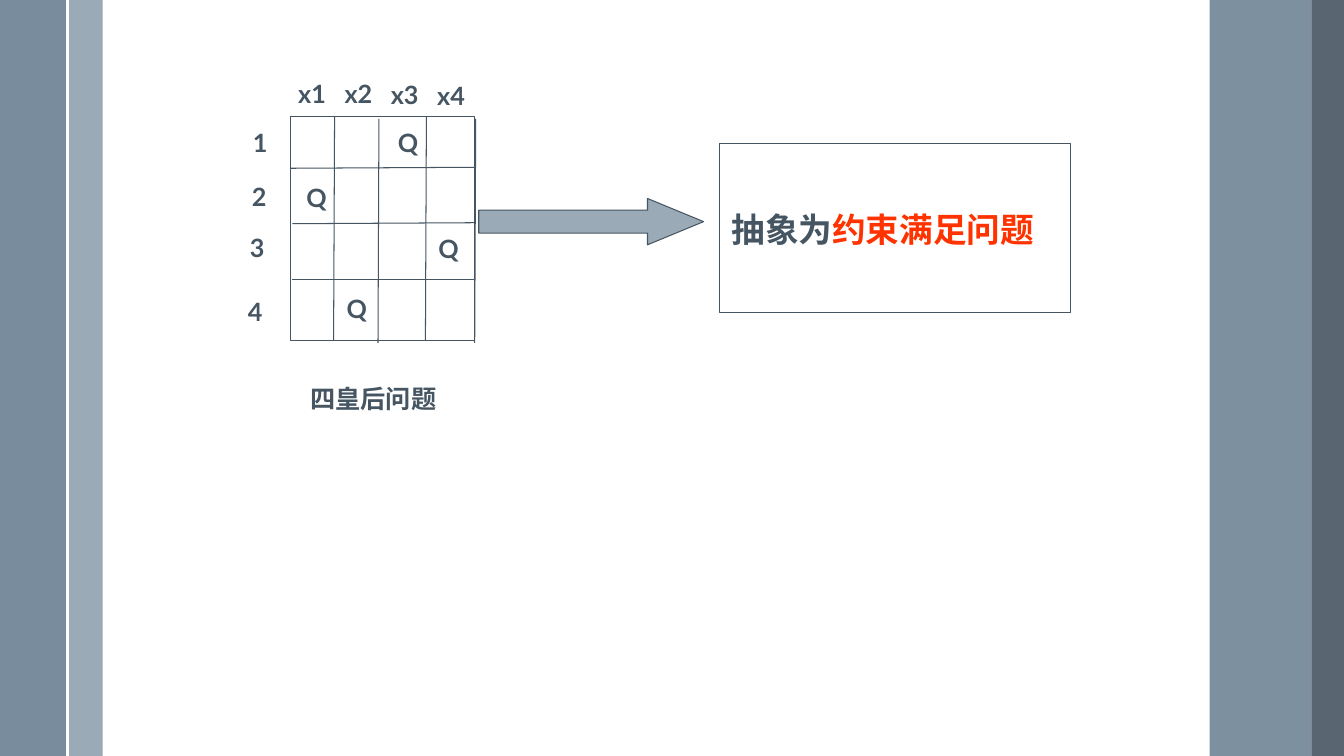
from dataclasses import dataclass

from lxml.etree import SubElement
from pptx import Presentation
from pptx.dml.color import RGBColor as RGB
from pptx.enum.shapes import MSO_CONNECTOR as Connector, MSO_SHAPE as Shape
from pptx.enum.text import MSO_ANCHOR as Anchor, MSO_AUTO_SIZE as AutoSize
from pptx.oxml.ns import qn
from pptx.util import Pt


@dataclass(frozen=True)
class Theme:
    font: str = "Lato"
    ink: str = "465562"
    accent: str = "FF3300"
    paper: str = "FFFFFF"
    pale: str = "9BAAB7"
    slate: str = "6A8093"
    dark: str = "475562"
    label_size: float = 18
    statement_size: float = 24
    thin: float = 0.75
    rule: float = 1.5


THEME = Theme()
WIDTH, HEIGHT = 960, 540


def add_text(paragraph, text, *, size, color=THEME.ink, bold=True):
    run = paragraph.add_run()
    run.text = text
    run.font.name = THEME.font
    run.font.size = Pt(size)
    run.font.bold = bold
    run.font.color.rgb = RGB.from_string(color)


class SlideBuilder:
    def __init__(self, slide, theme):
        self.slide = slide
        self.theme = theme

    def shape(self, kind, left, top, width, height, fill=None, line=None, opacity=100):
        shape = self.slide.shapes.add_shape(kind, Pt(left), Pt(top), Pt(width), Pt(height))
        shape.shadow.inherit = False
        if fill:
            shape.fill.solid()
            shape.fill.fore_color.rgb = RGB.from_string(fill)
            if opacity < 100:
                color = shape.fill._xPr.find(qn("a:solidFill"))[0]
                SubElement(color, qn("a:alpha")).set("val", str(opacity * 1000))
        else:
            shape.fill.background()
        if line:
            shape.line.color.rgb = RGB.from_string(line)
            shape.line.width = Pt(self.theme.thin)
        else:
            shape.line.fill.background()
        return shape

    def line(self, x1, y1, x2, y2, color, width):
        connector = self.slide.shapes.add_connector(
            Connector.STRAIGHT, Pt(x1), Pt(y1), Pt(x2), Pt(y2))
        connector.line.color.rgb = RGB.from_string(color)
        connector.line.width = Pt(width)
        SubElement(connector._element.spPr, qn("a:effectLst"))

    def text(self, left, top, width, height, *parts, size=THEME.label_size):
        """Place one line of text; each part is a (text, colour) pair."""
        box = self.slide.shapes.add_textbox(Pt(left), Pt(top), Pt(width), Pt(height))
        frame = box.text_frame
        frame.word_wrap = True
        frame.auto_size = AutoSize.SHAPE_TO_FIT_TEXT
        frame.vertical_anchor = Anchor.TOP
        for content, color in parts:
            add_text(frame.paragraphs[0], content, size=size, color=color)

    def label(self, content, left, top, width):
        self.text(left, top, width, 28.8, (content, self.theme.ink))


def draw_side_bands(builder):
    theme = builder.theme
    for left, width, fill, opacity in (
        (49, 24.4, theme.pale, 100),
        (0, 48.2, theme.slate, 90),
        (864, 72.7, theme.slate, 87),
        (936.7, 23.3, theme.dark, 90),
    ):
        builder.shape(Shape.RECTANGLE, left, 0, width, HEIGHT, fill, opacity=opacity)
    builder.line(48.2, 0, 48.2, HEIGHT, theme.paper, theme.rule)


def draw_board(builder):
    theme = builder.theme
    builder.shape(Shape.RECTANGLE, 207.4, 83.2, 131.3, 159.8, theme.paper, theme.ink)
    row_lines = (
        (207.4, 120.2, 339.8, 119.5),
        (208.8, 159.8, 339.1, 159.1),
        (208.8, 199.6, 338.4, 199.6),
    )
    column_tops = ((239, 83), (270.7, 85), (304.6, 83), (339.8, 85))
    column_lines = tuple((x, y, x - 0.7, y + 160) for x, y in column_tops)
    for ends in row_lines + column_lines:
        builder.line(*ends, theme.ink, theme.thin)

    for left, top in ((211.7, 126.7), (240.5, 205.9), (277.2, 87.1), (306, 163.4)):
        builder.label("Q", left, top, 24)
    for column, top in enumerate((52.6, 52.6, 53.3, 54)):
        builder.label(f"x{column + 1}", 205.9 + 33.1 * column, top, 34.6)
    row_places = ((173.5, 87.1), (172.8, 126), (171.4, 162.7), (169.9, 208.1))
    for row, (left, top) in enumerate(row_places, start=1):
        builder.label(str(row), left, top, 34.6)
    builder.label("四皇后问题", 214.6, 270, 113.8)


def draw_abstraction(builder):
    theme = builder.theme
    arrow = builder.shape(
        Shape.RIGHT_ARROW, 342, 141.8, 160.6, 33.1, theme.pale, theme.ink)
    arrow.adjustments[0] = 0.5
    arrow.adjustments[1] = 1.21
    builder.shape(Shape.RECTANGLE, 514.1, 102.2, 250.6, 121, line=theme.ink)
    builder.text(515.5, 145.4, 247, 36, ("抽象为", theme.ink),
                 ("约束满足问题", theme.accent), size=theme.statement_size)


def main():
    deck = Presentation()
    deck.slide_width, deck.slide_height = Pt(WIDTH), Pt(HEIGHT)
    blank_layout = deck.slide_layouts[6]
    builder = SlideBuilder(deck.slides.add_slide(blank_layout), THEME)
    draw_side_bands(builder)
    draw_board(builder)
    draw_abstraction(builder)
    deck.save("out.pptx")


if __name__ == "__main__":
    main()
